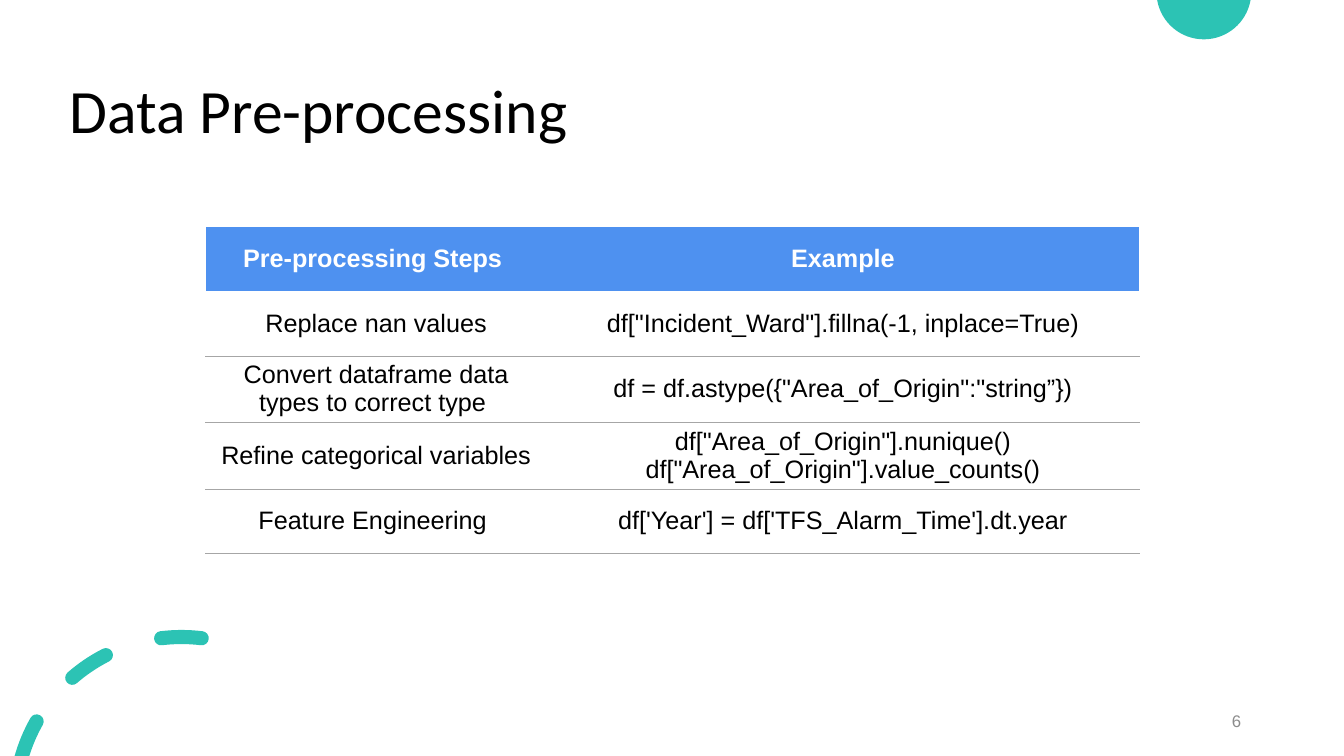
from math import asin, cos, degrees, radians, sin, tan

from lxml import etree
from pptx import Presentation
from pptx.dml.color import RGBColor
from pptx.enum.text import MSO_ANCHOR, PP_ALIGN
from pptx.oxml.ns import qn
from pptx.util import Inches, Pt

MID = MSO_ANCHOR.MIDDLE
LEFT, CENTER, RIGHT = PP_ALIGN.LEFT, PP_ALIGN.CENTER, PP_ALIGN.RIGHT

WIDE, HIGH = 13.33, 7.5
PLAIN = "{2D5ABB26-0587-4C30-8999-92F81FD0307C}"
COLORS = {
    "teal": "2CC3B4",
    "blue": "4E91F0",
    "white": "FFFFFF",
    "black": "000000",
    "rule": "A6A6A6",
    "gray": "8C8C8C",
}
FONTS = {
    "title": {"name": "Calibri", "size": Pt(44), "bold": False},
    "page": {"name": "Arial", "size": Pt(12), "bold": False},
    "head": {"name": "Arial", "size": Pt(18), "bold": True},
    "body": {"name": "Arial", "size": Pt(18), "bold": False},
}
CELL = {"vertical_anchor": MID, "margin_top": Inches(0.03), "margin_bottom": Inches(0.03)}
EDGES = (("L", "white", 1), ("R", "white", 1), ("T", "rule", 0.25), ("B", "rule", 0.25))
ROWS = (
    ("Pre-processing Steps ", "Example"),
    ("Replace nan values", 'df["Incident_Ward"].fillna(-1, inplace=True)'),
    ("Convert dataframe data types to correct type ",
     'df = df.astype({"Area_of_Origin":"string”})'),
    ("Refine categorical variables",
     'df["Area_of_Origin"].nunique()\ndf["Area_of_Origin"].value_counts()'),
    ("Feature Engineering ", "df['Year'] = df['TFS_Alarm_Time'].dt.year"),
)


def tint(name):
    return RGBColor.from_string(COLORS[name])


def style(frame, kind, color, align):
    for para in frame.paragraphs:
        para.alignment = align
        for key, value in FONTS[kind].items():
            setattr(para.font, key, value)
        para.font.color.rgb = tint(color)


def label(slide, box, text, kind, color, align, space=1.0):
    frame = slide.shapes.add_textbox(*map(Inches, box)).text_frame
    frame.word_wrap = True
    frame.vertical_anchor = MID
    frame.text = text
    frame.paragraphs[0].line_spacing = space
    style(frame, kind, color, align)


def spot(x, y, size, angle):
    turn = radians(angle)
    return x + size * cos(turn), y - size * sin(turn)


def arc(x, y, size, start, end, parts=1):
    step = (end - start) / parts
    pull = 4 / 3 * tan(radians(step) / 4) * size
    curves = []
    for i in range(parts):
        a, b = start + i * step, start + (i + 1) * step
        p, q = spot(x, y, size, a), spot(x, y, size, b)
        curves.append([spot(*p, pull, a + 90), spot(*q, pull, b - 90), q])
    return curves


def dash(x, y, size, half, start, end):
    big, small = size + half, size - half
    tip = spot(x, y, size, start)
    if end is None:
        far, near = (180 - degrees(asin((y - HIGH) / r)) for r in (big, small))
        cap = [[spot(x, y, small, near)]]
    else:
        far = near = end
        cap = arc(*spot(x, y, size, end), half, end, end + 180, 2)
    return spot(x, y, big, start), (
        arc(x, y, big, start, far) + cap + arc(x, y, small, near, start)
        + arc(*tip, half, start + 180, start + 360, 2))


def outline(slide, loops):
    build = None
    for first, parts in loops:
        first = [Inches(v) for v in first]
        if build is None:
            build = slide.shapes.build_freeform(*first, scale=1.0)
        else:
            build.move_to(*first)
        points = [(Inches(x), Inches(y)) for part in parts for x, y in part]
        build.add_line_segments(points, close=True)
    shape = build.convert_to_shape()
    lines = iter(list(shape._element.iter(qn("a:lnTo"))))
    for part in (part for _, parts in loops for part in parts):
        group = [next(lines) for _ in part]
        if len(group) == 3:
            curve = etree.Element(qn("a:cubicBezTo"))
            group[0].addprevious(curve)
            for line in group:
                curve.append(line[0])
                line.getparent().remove(line)
    shape.shadow.inherit = False
    shape.fill.solid()
    shape.fill.fore_color.rgb = tint("teal")
    shape.line.fill.background()


def decor(slide):
    x, y, size = 11.94, -0.08, 0.47
    dip = degrees(asin(y / size))
    outline(slide, [(spot(x, y, size, dip), arc(x, y, size, dip, -180 - dip, 2))])
    spans = ((83, 97), (117, 131), (150.5, None))
    outline(slide, [dash(1.8, 7.97, 1.65, 0.07, *span) for span in spans])


def border(cell, edges):
    props = cell._tc.get_or_add_tcPr()
    for i, (side, color, width) in enumerate(edges):
        line = etree.Element(qn("a:ln" + side), w=str(int(Pt(width))))
        fill = etree.SubElement(line, qn("a:solidFill"))
        etree.SubElement(fill, qn("a:srgbClr"), val=COLORS[color])
        props.insert(i, line)


def steps(slide, box):
    left, top, width, row = box
    table = slide.shapes.add_table(
        len(ROWS), 2, Inches(left), Inches(top), Inches(width), Inches(row * len(ROWS))
    ).table
    table.horz_banding = False
    table._tbl.tblPr.find(qn("a:tableStyleId")).text = PLAIN
    for col, size in zip(table.columns, (3.38, width - 3.38)):
        col.width = Inches(size)
    for r, texts in enumerate(ROWS):
        table.rows[r].height = Inches(row)
        for c, text in enumerate(texts):
            cell = table.cell(r, c)
            cell.text = text
            for key, value in CELL.items():
                setattr(cell, key, value)
            if r:
                cell.fill.background()
                style(cell.text_frame, "body", "black", CENTER)
                border(cell, [e for e in EDGES if r > 1 or e[0] != "T"])
            else:
                cell.fill.solid()
                cell.fill.fore_color.rgb = tint("blue")
                style(cell.text_frame, "head", "white", CENTER)


def main():
    deck = Presentation()
    deck.slide_width, deck.slide_height = Inches(WIDE), Inches(HIGH)
    slide = deck.slides.add_slide(deck.slide_layouts[6])
    decor(slide)
    label(slide, (0.59, 0.4, 11.5, 1.45), "Data Pre-processing",
          "title", "black", LEFT, 0.9)
    label(slide, (9.41, 6.95, 3, 0.4), "6", "page", "gray", RIGHT)
    steps(slide, (2.04, 2.25, 9.26, 0.64))
    deck.save("out.pptx")


if __name__ == "__main__":
    main()
